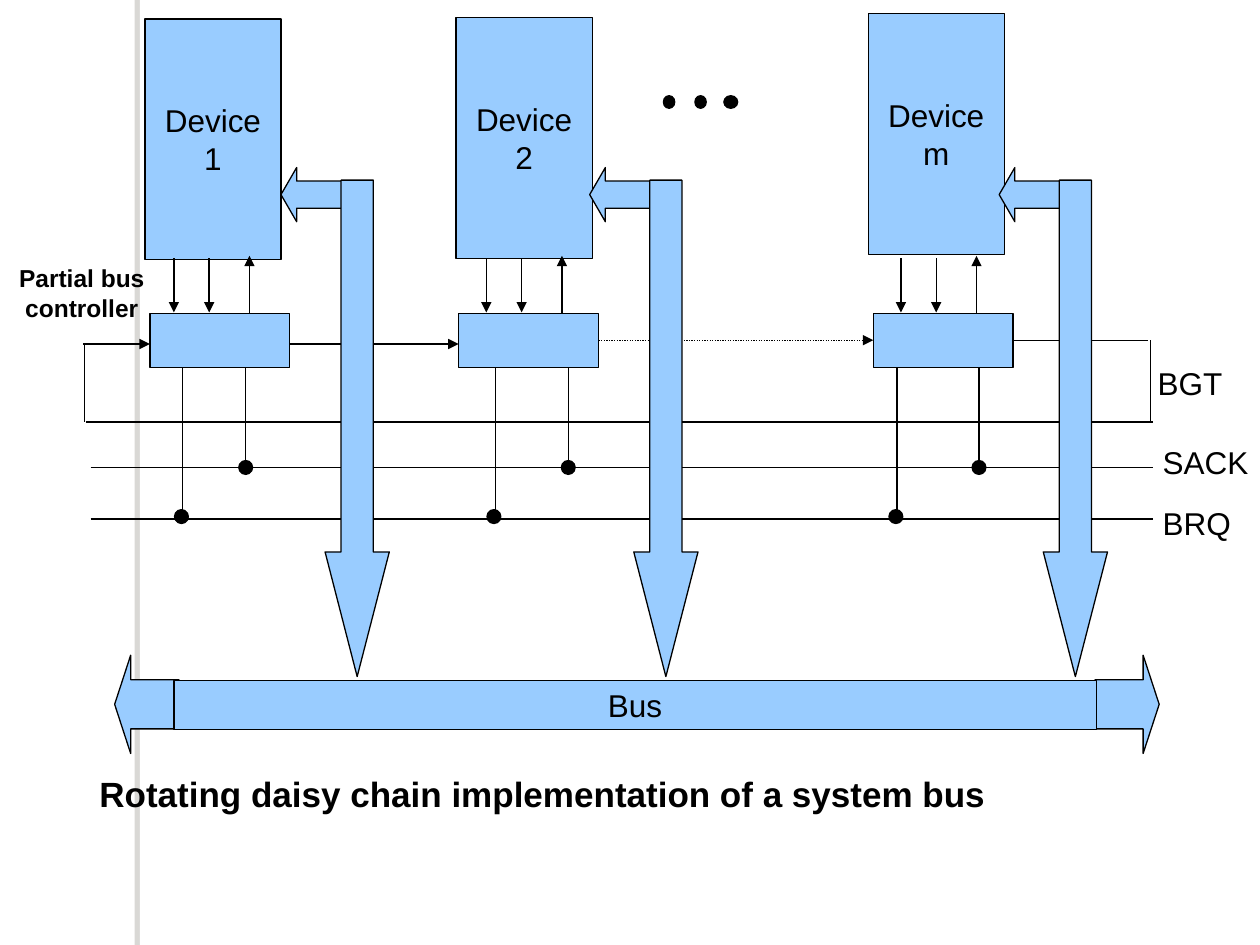
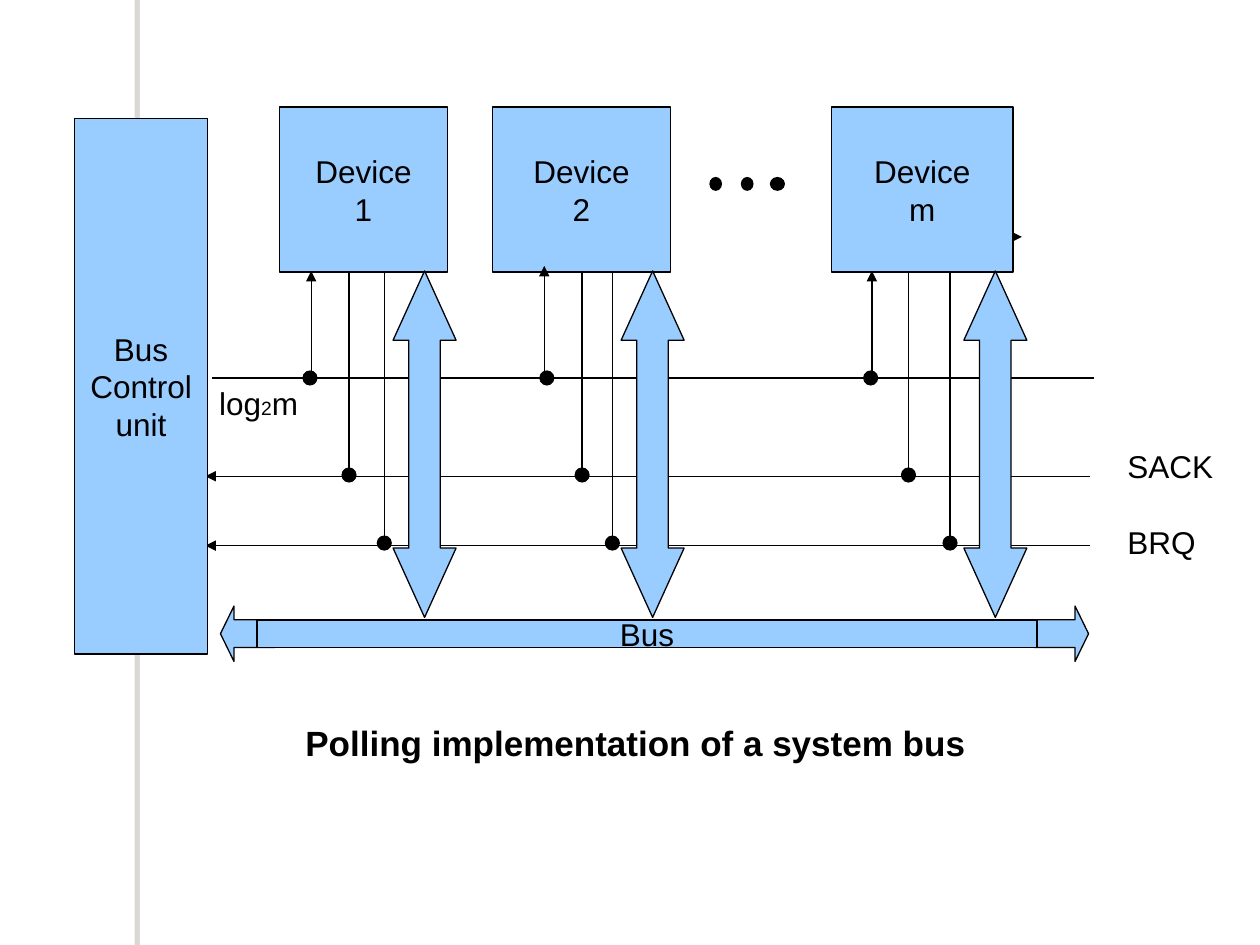
from dataclasses import dataclass

from lxml import etree
from pptx import Presentation
from pptx import util as u
from pptx.dml.color import RGBColor
from pptx.enum import dml, shapes, text
from pptx.oxml.ns import qn

SHAPE = shapes.MSO_SHAPE
CENTER = text.PP_ALIGN.CENTER
LEFT = text.PP_ALIGN.LEFT


@dataclass(frozen=True)
class Theme:
    font: str = "Arial"
    ink: str = "000000"
    paper: str = "FFFFFF"
    block: str = "99CCFF"
    band_shadow: str = "706B5F"
    line: float = 0.75
    caption: int = 20
    label: int = 18
    note: int = 14
    subscript: int = 11
    dot: float = 0.11


def color(value):
    return RGBColor.from_string(value)


def write(box, content, *, theme, size, bold=False, align=CENTER,
          anchor=text.MSO_ANCHOR.MIDDLE, wrap=False):
    """Fill a box; content is text with line breaks, or a list of (text, size) spans."""
    frame = box.text_frame
    frame.word_wrap = wrap
    frame.vertical_anchor = anchor
    if isinstance(content, str):
        lines = [[(line, size)] for line in content.split("\n")]
    else:
        lines = [content]
    for index, spans in enumerate(lines):
        para = frame.add_paragraph() if index else frame.paragraphs[0]
        para.alignment = align
        for words, span_size in spans:
            span = para.add_run()
            span.text = words
            span.font.name = theme.font
            span.font.size = u.Pt(span_size)
            span.font.bold = bold
            span.font.color.rgb = color(theme.ink)


def set_arrow_guides(item, shaft, head):
    """Set shaft width and head length by guide name, as their order varies by preset."""
    guides = item.element.spPr.find(qn("a:prstGeom")).find(qn("a:avLst"))
    for guide in list(guides):
        guides.remove(guide)
    for name, value in (("adj1", shaft), ("adj2", head)):
        etree.SubElement(guides, qn("a:gd"), name=name, fmla=f"val {round(value * 100000)}")


class Diagram:
    def __init__(self, deck, theme):
        self.deck = deck
        self.theme = theme
        self.page = None

    def new_page(self):
        self.page = self.deck.slides.add_slide(self.deck.slide_layouts[6])
        self.side_band()

    def shape(self, kind, left, top, width, height, fill=None, outlined=True):
        item = self.page.shapes.add_shape(
            kind, *map(u.Inches, (left, top, width, height)))
        item.shadow.inherit = False
        item.fill.solid()
        item.fill.fore_color.rgb = color(fill or self.theme.block)
        if outlined:
            item.line.color.rgb = color(self.theme.ink)
            item.line.width = u.Pt(self.theme.line)
        else:
            item.line.fill.background()
        return item

    def arrow(self, kind, left, top, width, height, head):
        """Block arrow with a half-width shaft; head is relative to the shorter side."""
        item = self.shape(kind, left, top, width, height)
        set_arrow_guides(item, 0.5, head)

    def side_band(self):
        """White strip whose hard shadow falls to its left."""
        band = self.shape(SHAPE.RECTANGLE, 1.11, 0, 0.08, 7.5,
                          fill=self.theme.paper, outlined=False)
        effects = band.element.spPr.find(qn("a:effectLst"))
        shadow = etree.SubElement(effects, qn("a:outerShdw"), blurRad="0",
                                  dist=str(u.Pt(3)), dir="10800000", rotWithShape="0")
        tint = etree.SubElement(shadow, qn("a:srgbClr"), val=self.theme.band_shadow)
        etree.SubElement(tint, qn("a:alpha"), val="25000")

    def block(self, left, top, width, height, words=""):
        item = self.shape(SHAPE.RECTANGLE, left, top, width, height)
        if words:
            write(item, words, theme=self.theme, size=self.theme.label)

    def dot(self, x, y, width=None, height=None):
        """Black dot centred on a point."""
        width = width or self.theme.dot
        height = height or self.theme.dot
        self.shape(SHAPE.OVAL, x - width / 2, y - height / 2, width, height,
                   fill=self.theme.ink)

    def ellipsis(self, left, y):
        for offset, width in ((0.05, 0.09), (0.3, 0.09), (0.54, 0.11)):
            self.dot(left + offset, y, width, 0.1)

    def wire(self, x1, y1, x2, y2, arrow=False, dotted=False):
        item = self.page.shapes.add_connector(
            shapes.MSO_CONNECTOR.STRAIGHT, *map(u.Inches, (x1, y1, x2, y2)))
        item.line.color.rgb = color(self.theme.ink)
        item.line.width = u.Pt(self.theme.line)
        if dotted:
            item.line.dash_style = dml.MSO_LINE.ROUND_DOT
        properties = item.element.spPr
        if arrow:
            etree.SubElement(properties.find(qn("a:ln")), qn("a:tailEnd"), type="triangle")
        etree.SubElement(properties, qn("a:effectLst"))

    def label(self, left, top, content, width=1, height=0.4, size=None, **style):
        box = self.page.shapes.add_textbox(*map(u.Inches, (left, top, width, height)))
        style = {"align": LEFT, **style}
        write(box, content, theme=self.theme, size=size or self.theme.label,
              anchor=text.MSO_ANCHOR.TOP, wrap=True, **style)

    def caption(self, left, top, words, align=LEFT):
        self.label(left, top, words, width=9.09, height=0.73,
                   size=self.theme.caption, bold=True, align=align)

    def bus(self, left, top, width, height, left_tip, right_tip, tip_top, tip_size):
        """Horizontal bus with an arrow tip at each end."""
        for kind, tip in ((SHAPE.LEFT_ARROW, left_tip), (SHAPE.RIGHT_ARROW, right_tip)):
            self.arrow(kind, tip, tip_top, *tip_size, head=0.25)
        self.block(left, top, width, height, "Bus")


@dataclass(frozen=True)
class ChainedDevice:
    name: str
    left: float
    top: float
    controller: float
    signal: float
    request: float
    acknowledge: float
    branch: float


@dataclass(frozen=True)
class PolledDevice:
    name: str
    left: float
    width: float
    select: float
    acknowledge: float
    request: float
    branch: float
    rise: float = 0
    select_dot: float = -0.01


CHAINED = (
    ChainedDevice("1", 1.15, 0.15, 1.19, 1.38, 1.45, 1.95, 2.23),
    ChainedDevice("2", 3.62, 0.14, 3.64, 3.86, 3.93, 4.51, 4.68),
    ChainedDevice("m", 6.89, 0.11, 6.93, 7.15, 7.12, 7.77, 7.93),
)
POLLED = (
    PolledDevice("1", 2.22, 1.33, 2.47, 2.77, 3.05, 3.12),
    PolledDevice("2", 3.91, 1.41, 4.32, 4.62, 4.86, 4.93, rise=0.04, select_dot=0.02),
    PolledDevice("m", 6.6, 1.44, 6.92, 7.21, 7.54, 7.65),
)


def daisy_chain_page(art):
    art.new_page()
    grant_y, sack_y, request_y = 3.35, 3.71, 4.12
    controller_bottom = 2.92
    for start, y in ((0.68, grant_y), (0.72, sack_y), (0.72, request_y)):
        art.wire(start, y, 9.15, y)
    art.wire(2.3, 2.73, 3.64, 2.73, arrow=True)
    art.wire(4.71, 2.7, 6.93, 2.7, arrow=True, dotted=True)
    art.wire(7.97, 2.7, 9.11, 2.7)
    art.wire(9.13, 2.7, 9.13, grant_y)
    art.wire(0.67, 2.73, 0.67, grant_y)
    art.wire(0.66, 2.73, 1.19, 2.73, arrow=True)

    for device in CHAINED:
        art.wire(device.request, controller_bottom, device.request, request_y)
        art.wire(device.acknowledge, controller_bottom, device.acknowledge, sack_y)
        art.block(device.left, device.top, 1.08, 1.91, f"Device\n{device.name}")
        art.arrow(SHAPE.LEFT_ARROW, device.branch, 1.33, 0.51, 0.43, head=0.29)
        art.arrow(SHAPE.DOWN_ARROW, device.branch + 0.35, 1.43, 0.51, 3.94, head=1.94)
        art.block(device.controller, 2.49, 1.11, 0.43)
        for offset in (0, 0.28):
            x = device.signal + offset
            art.wire(x, 2.05, x, 2.48, arrow=True)
        art.wire(device.signal + 0.6, 2.49, device.signal + 0.6, 2.03, arrow=True)
        art.dot(device.request - 0.01, request_y - 0.02)
        art.dot(device.acknowledge, sack_y)

    art.ellipsis(5.26, 0.81)
    art.bus(1.38, 5.4, 7.32, 0.39, 0.91, 8.69, 5.2, (0.51, 0.78))
    art.label(-0.1, 2.04, "Partial bus controller", width=1.5, height=0.56,
              size=art.theme.note, bold=True, align=CENTER)
    for left, top, name in ((9.09, 2.84, "BGT"), (9.13, 3.47, "SACK"), (9.13, 3.95, "BRQ")):
        art.label(left, top, name)
    art.caption(0.69, 6.08, "Rotating daisy chain implementation of a system bus")


def polling_page(art):
    art.new_page()
    select_y, sack_y, request_y = 3, 3.78, 4.33
    device_bottom = 2.15
    art.wire(1.68, select_y, 8.68, select_y)
    for y in (sack_y, request_y):
        art.wire(8.65, y, 1.63, y, arrow=True)
    art.wire(7.48, 1.88, 8.11, 1.88, arrow=True)
    art.block(0.59, 0.94, 1.06, 4.25, "Bus\nControl\nunit")

    for device in POLLED:
        art.wire(device.acknowledge, device_bottom, device.acknowledge, sack_y)
        art.wire(device.request, device_bottom, device.request, request_y)
        art.block(device.left, 0.85, device.width, 1.31, f"Device\n{device.name}")
        art.arrow(SHAPE.UP_DOWN_ARROW, device.branch, device_bottom, 0.5, 2.75, head=1.1)
        art.wire(device.select, select_y, device.select, device_bottom - device.rise,
                 arrow=True)
        art.dot(device.select + device.select_dot, select_y)
        art.dot(device.acknowledge, sack_y - 0.01)
        art.dot(device.request, request_y - 0.02)

    art.ellipsis(5.63, 1.46)
    art.bus(2.04, 4.92, 6.19, 0.22, 1.75, 8.21, 4.81, (0.43, 0.44))
    art.label(8.85, 3.5, "SACK")
    art.label(8.85, 4.1, "BRQ")
    size = art.theme.label
    art.label(1.64, 3, [("log", size), ("2", art.theme.subscript), ("m", size)])
    art.caption(0.5, 5.68, "Polling implementation of a system bus", align=CENTER)


def main():
    deck = Presentation()
    deck.slide_width = u.Inches(10)
    deck.slide_height = u.Inches(7.5)
    art = Diagram(deck, Theme())
    daisy_chain_page(art)
    polling_page(art)
    deck.save("out.pptx")


if __name__ == "__main__":
    main()
